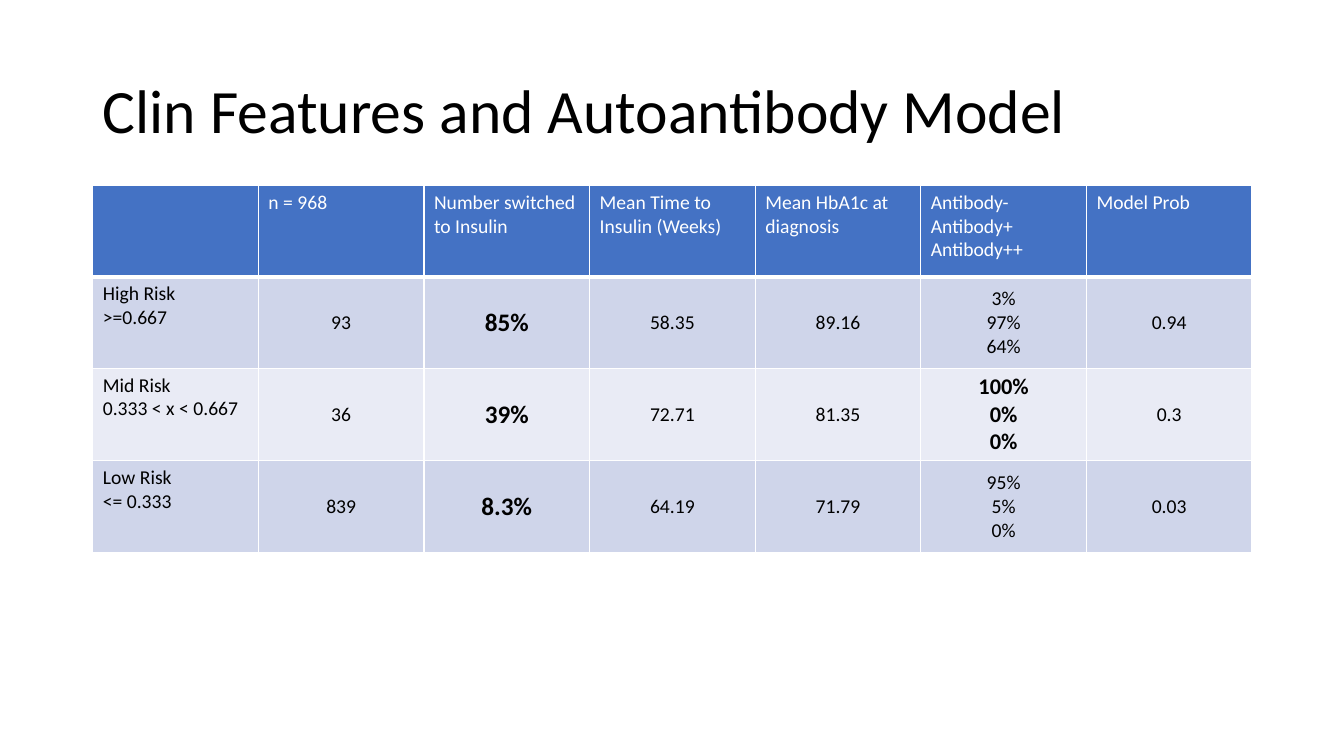
import pptx
import pptx.dml.color
import pptx.enum.text
import pptx.oxml
import pptx.oxml.ns
import pptx.util

Inches, Pt = pptx.util.Inches, pptx.util.Pt
ALIGN, ANCHOR = pptx.enum.text.PP_ALIGN, pptx.enum.text.MSO_ANCHOR
FONT = "Calibri"
HEADER_FILL, BAND_FILLS = "4472C4", ("CFD5EA", "E9EBF5")
SWITCHED, ANTIBODY = 2, 5

ROWS = [
    ["", "n = 968", "Number switched to Insulin", "Mean Time to Insulin (Weeks)",
     "Mean HbA1c at diagnosis", "Antibody-\nAntibody+\nAntibody++", "Model Prob"],
    ["High Risk\n>=0.667", "93", "85%", "58.35", "89.16", "3%\n97%\n64%", "0.94"],
    ["Mid Risk\n0.333 < x < 0.667", "36", "39%", "72.71", "81.35", "100%\n0%\n0%", "0.3"],
    ["Low Risk\n<= 0.333", "839", "8.3%", "64.19", "71.79", "95%\n5%\n0%", "0.03"],
]


def rgb(value):
    return pptx.dml.color.RGBColor.from_string(value)


def format_text(tf, color, align=ALIGN.LEFT, **font):
    for p in tf.paragraphs:
        p.alignment = align
        for name, value in {"name": FONT, **font}.items():
            setattr(p.font, name, value)
        p.font.color.rgb = rgb(color)
        for r in p.runs:
            for name, value in {"name": FONT, **font}.items():
                setattr(r.font, name, value)
            r.font.color.rgb = rgb(color)


def set_borders(cell, bottom):
    """Draw white borders, 1 pt except for the given bottom width."""
    tc_pr = cell._tc.get_or_add_tcPr()
    widths = {"lnL": 1, "lnR": 1, "lnT": 1, "lnB": bottom}
    for i, (side, width) in enumerate(widths.items()):
        tc_pr.insert(i, pptx.oxml.parse_xml(
            f'<a:{side} {pptx.oxml.ns.nsdecls("a")} w="{Pt(width)}">'
            f'<a:solidFill><a:srgbClr val="FFFFFF"/></a:solidFill></a:{side}>'))


def add_title(s, text):
    title = s.shapes.title
    box = {"left": 0.92, "top": 0.4, "width": 11.5, "height": 1.45}
    for name, value in box.items():
        setattr(title, name, Inches(value))
    tf = title.text_frame
    tf.text = text
    tf.vertical_anchor = ANCHOR.MIDDLE
    tf.paragraphs[0].line_spacing = 0.9
    format_text(tf, "000000", size=Pt(44))


def value_font(row, col):
    """Emphasise the switched share and the mid-risk antibody split."""
    if row and col == SWITCHED:
        return {"size": Pt(18), "bold": True}
    if row == 2 and col == ANTIBODY:
        return {"size": Pt(16), "bold": True}
    return {"size": Pt(14), "bold": False}


def fill_cell(cell, row, col, text):
    is_header = row == 0
    is_value = not is_header and col > 0
    cell.text = text
    cell.vertical_anchor = ANCHOR.MIDDLE if is_value else ANCHOR.TOP
    cell.fill.solid()
    cell.fill.fore_color.rgb = rgb(HEADER_FILL if is_header else BAND_FILLS[(row - 1) % 2])
    set_borders(cell, bottom=3 if is_header else 1)
    format_text(cell.text_frame, "FFFFFF" if is_header else "000000",
                ALIGN.CENTER if is_value else ALIGN.LEFT, **value_font(row, col))


def add_risk_table(s):
    table = s.shapes.add_table(len(ROWS), len(ROWS[0]), Inches(0.92), Inches(1.84),
                               Inches(11.5), Inches(3.63)).table
    for row, texts in enumerate(ROWS):
        for col, text in enumerate(texts):
            fill_cell(table.cell(row, col), row, col, text)


def main():
    prs = pptx.Presentation()
    prs.slide_width, prs.slide_height = Inches(13.33), Inches(7.5)
    s = prs.slides.add_slide(prs.slide_layouts[5])
    add_title(s, "Clin Features and Autoantibody Model")
    add_risk_table(s)
    prs.save("out.pptx")


if __name__ == "__main__":
    main()
